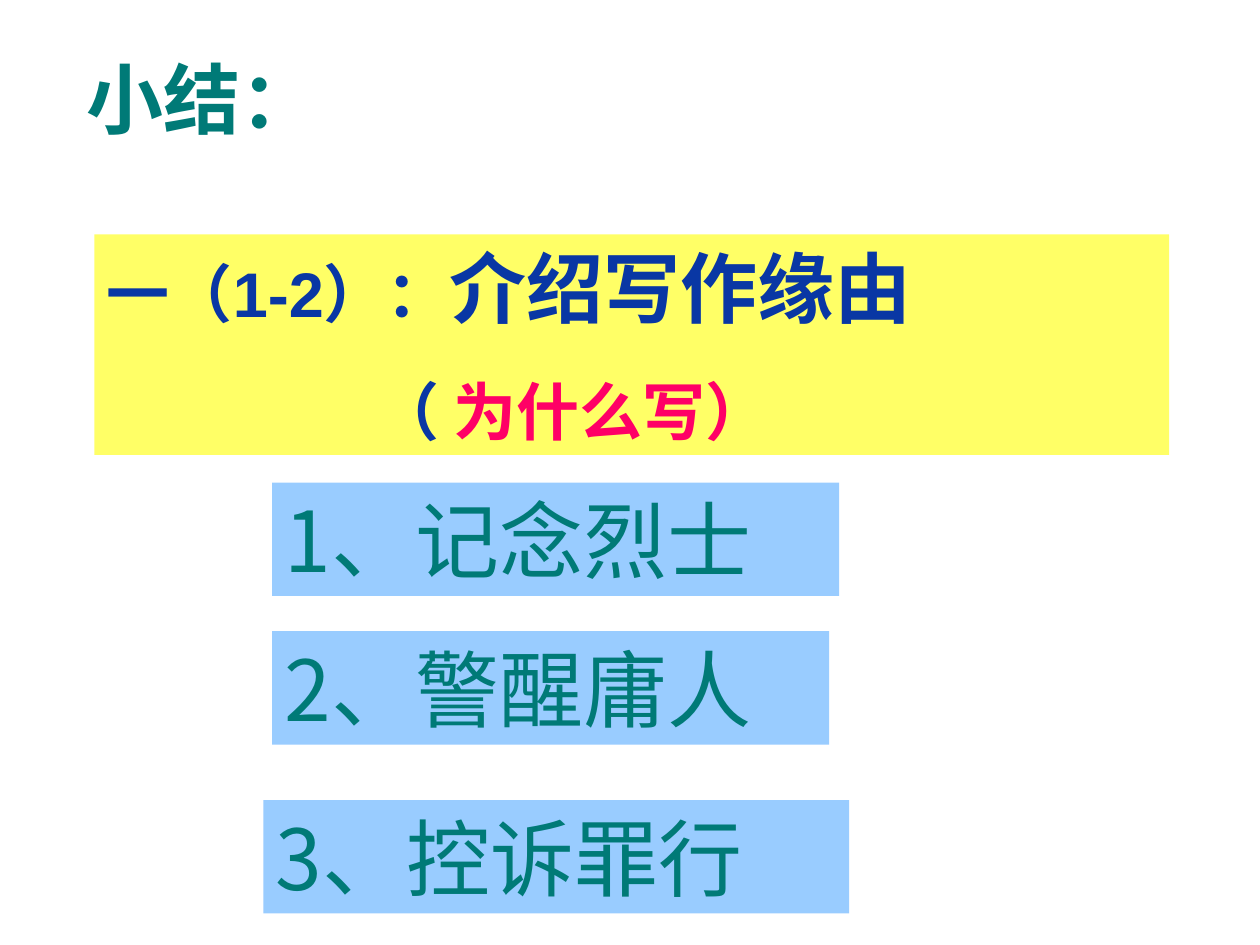
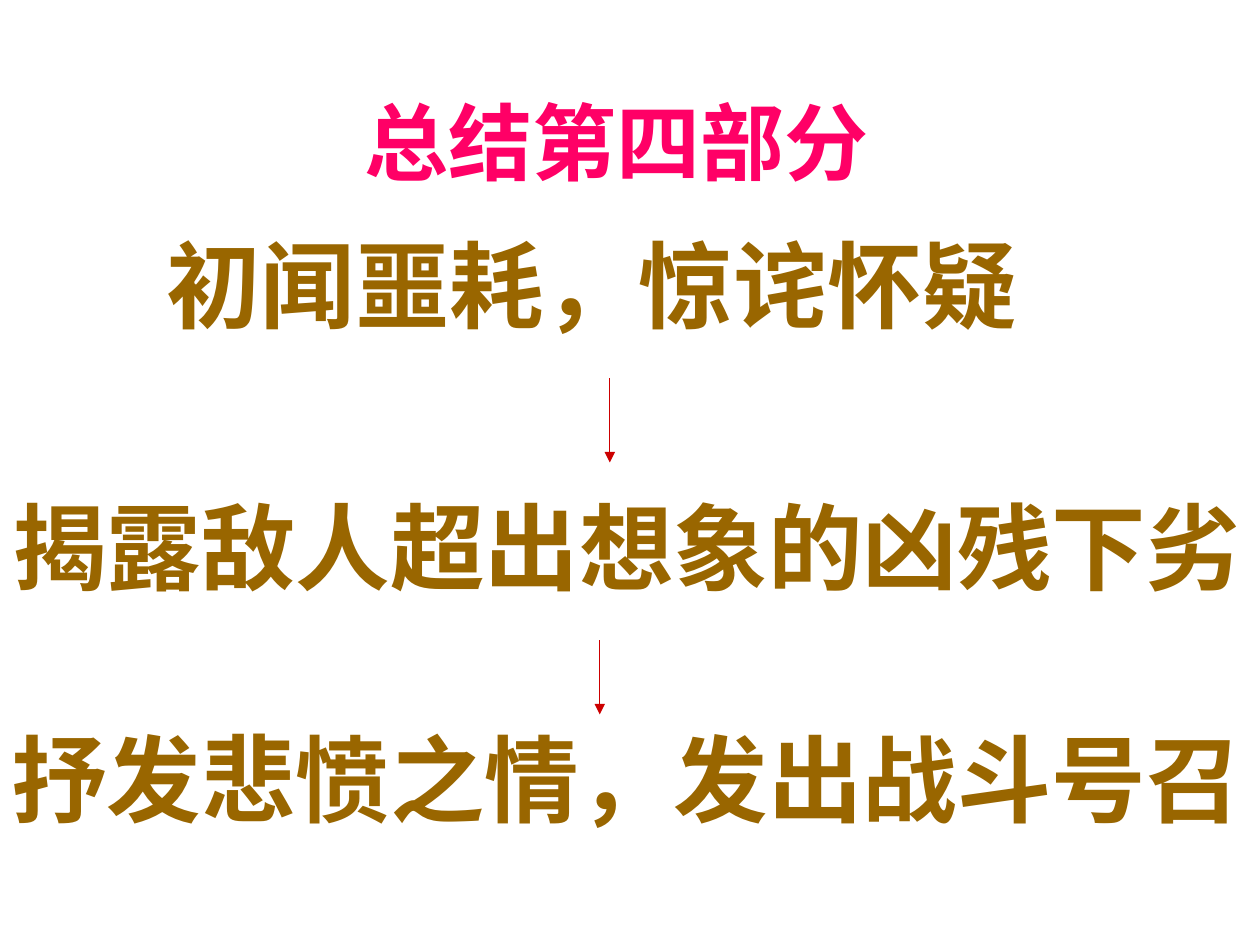
from dataclasses import dataclass

from lxml.etree import SubElement
from pptx import Presentation
from pptx.dml.color import RGBColor
from pptx.enum.lang import MSO_LANGUAGE_ID
from pptx.enum.shapes import MSO_CONNECTOR, MSO_SHAPE
from pptx.enum.text import MSO_ANCHOR, MSO_AUTO_SIZE, PP_ALIGN
from pptx.oxml.ns import qn
from pptx.util import Emu, Inches, Pt

WIDTH, HEIGHT = Inches(10), Inches(7.5)
COLUMNS, ROWS = 100, 75
TITLE_ONLY = 5
SERIF, SANS, CHINESE = "Times New Roman", "Arial", "Noto Sans CJK SC"
TEAL, NAVY, PINK, BROWN = "007A77", "0937A4", "FF0066", "996600"
YELLOW, SKY, RED = "FFFF66", "99CCFF", "CC0000"


@dataclass(frozen=True)
class Area:
    """A rectangle in grid columns and rows."""
    column: float
    row: float
    columns: float
    rows: float


@dataclass(frozen=True)
class Style:
    """The look of a span of text."""
    size: float
    color: str
    font: str = SERIF
    bold: bool = True


@dataclass(frozen=True)
class Line:
    """One paragraph: its styled spans, indent in columns and space before in points."""
    spans: tuple[tuple[str, Style], ...]
    indent: float = 0
    before: float = 0


@dataclass(frozen=True)
class Arrow:
    """A downward arrow in grid columns and rows."""
    column: float
    top: float
    bottom: float


REASON = Style(48, TEAL, CHINESE, False)
STAGE = Style(54, BROWN)
HEADING = Style(36, NAVY, SANS)
SUMMARY_LINES = (
    Line((("一（1-2）：", HEADING), ("介绍写作缘由", Style(44, NAVY, SANS)))),
    Line((("（ ", HEADING), ("为什么写）", Style(36, PINK, SANS))), indent=21.4, before=22.5),
)
REASONS = (
    ("1、记念烈士", Area(21.6, 38.3, 45, 9)),
    ("2、警醒庸人", Area(21.6, 50.1, 44.2, 9)),
    ("3、控诉罪行", Area(20.9, 63.5, 46.5, 9)),
)
STAGES = (
    ("初闻噩耗，惊诧怀疑", Area(12.2, 17.5, 74, 10)),
    ("揭露敌人超出想象的凶残下劣", Area(0, 38.3, 100, 10)),
    ("抒发悲愤之情，发出战斗号召", Area(0, 56.7, 100, 10)),
)
ARROWS = (Arrow(48.4, 30, 36.7), Arrow(47.6, 50.8, 56.7))


def across(columns: float) -> Emu:
    """Turn grid columns into a length."""
    return Emu(round(WIDTH * columns / COLUMNS))


def down(rows: float) -> Emu:
    """Turn grid rows into a length."""
    return Emu(round(HEIGHT * rows / ROWS))


def place(area: Area) -> tuple[Emu, Emu, Emu, Emu]:
    """Turn an area into left, top, width and height."""
    return across(area.column), down(area.row), across(area.columns), down(area.rows)


def paint(color_format, color: str) -> None:
    """Set a colour from a hex string."""
    color_format.rgb = RGBColor.from_string(color)


def format_span(span, style: Style) -> None:
    """Give a run its font, size, colour and language."""
    font = span.font
    font.name, font.size, font.bold = style.font, Pt(style.size), style.bold
    font.language_id = MSO_LANGUAGE_ID.SIMPLIFIED_CHINESE
    paint(font.color, style.color)
    SubElement(span.font._element, qn("a:ea"), typeface=CHINESE)


def write(box, lines: tuple[Line, ...]) -> None:
    """Fill a shape with left-aligned lines from its top."""
    frame = box.text_frame
    frame.word_wrap = True
    frame.auto_size = MSO_AUTO_SIZE.SHAPE_TO_FIT_TEXT
    frame.vertical_anchor = MSO_ANCHOR.TOP
    frame.margin_left = frame.margin_right = Inches(0.1)
    frame.margin_top = frame.margin_bottom = Inches(0.05)
    for index, line in enumerate(lines):
        para = frame.add_paragraph() if index else frame.paragraphs[0]
        para.alignment = PP_ALIGN.LEFT
        para.space_before = Pt(line.before)
        if line.indent:
            properties = para._p.get_or_add_pPr()
            properties.set("marL", str(across(line.indent)))
            properties.set("indent", "0")
        for text, style in line.spans:
            span = para.add_run()
            span.text = text
            format_span(span, style)


def add_page(deck, title: str, area: Area, style: Style, indent: float = 0):
    """Add a title-only page with its title placed and styled."""
    page = deck.slides.add_slide(deck.slide_layouts[TITLE_ONLY])
    box = page.shapes.title
    box.left, box.top, box.width, box.height = place(area)
    write(box, (Line(((title, style),), indent),))
    return page


def add_panel(page, area: Area, fill: str, lines: tuple[Line, ...]) -> None:
    """Add a filled rectangle with text."""
    box = page.shapes.add_shape(MSO_SHAPE.RECTANGLE, *place(area))
    box.shadow.inherit = False
    box.fill.solid()
    paint(box.fill.fore_color, fill)
    box.line.fill.background()
    write(box, lines)


def add_arrow(page, arrow: Arrow) -> None:
    """Add a thin red arrow pointing down."""
    column = across(arrow.column)
    connector = page.shapes.add_connector(
        MSO_CONNECTOR.STRAIGHT, column, down(arrow.top), column, down(arrow.bottom))
    connector.line.width = Pt(0.75)
    paint(connector.line.color, RED)
    SubElement(connector.line._get_or_add_ln(), qn("a:tailEnd"), type="triangle")
    SubElement(connector._element.spPr, qn("a:effectLst"))


def build_summary(deck) -> None:
    """Build the page on why the text was written."""
    page = add_page(deck, "小结：", Area(5.9, 3.6, 33.1, 8.4), Style(44, TEAL))
    add_panel(page, Area(7.5, 18.6, 85.3, 17.5), YELLOW, SUMMARY_LINES)
    for text, area in REASONS:
        add_panel(page, area, SKY, (Line(((text, REASON),)),))


def build_stages(deck) -> None:
    """Build the page on the stages of part four."""
    page = add_page(deck, "总结第四部分", Area(26.4, 6.7, 45.7, 9), Style(48, PINK), indent=1.5)
    for text, area in STAGES:
        write(page.shapes.add_textbox(*place(area)), (Line(((text, STAGE),)),))
    for arrow in ARROWS:
        add_arrow(page, arrow)


def main() -> None:
    """Build and save the deck."""
    deck = Presentation()
    deck.slide_width, deck.slide_height = WIDTH, HEIGHT
    build_summary(deck)
    build_stages(deck)
    deck.save("out.pptx")


if __name__ == "__main__":
    main()
